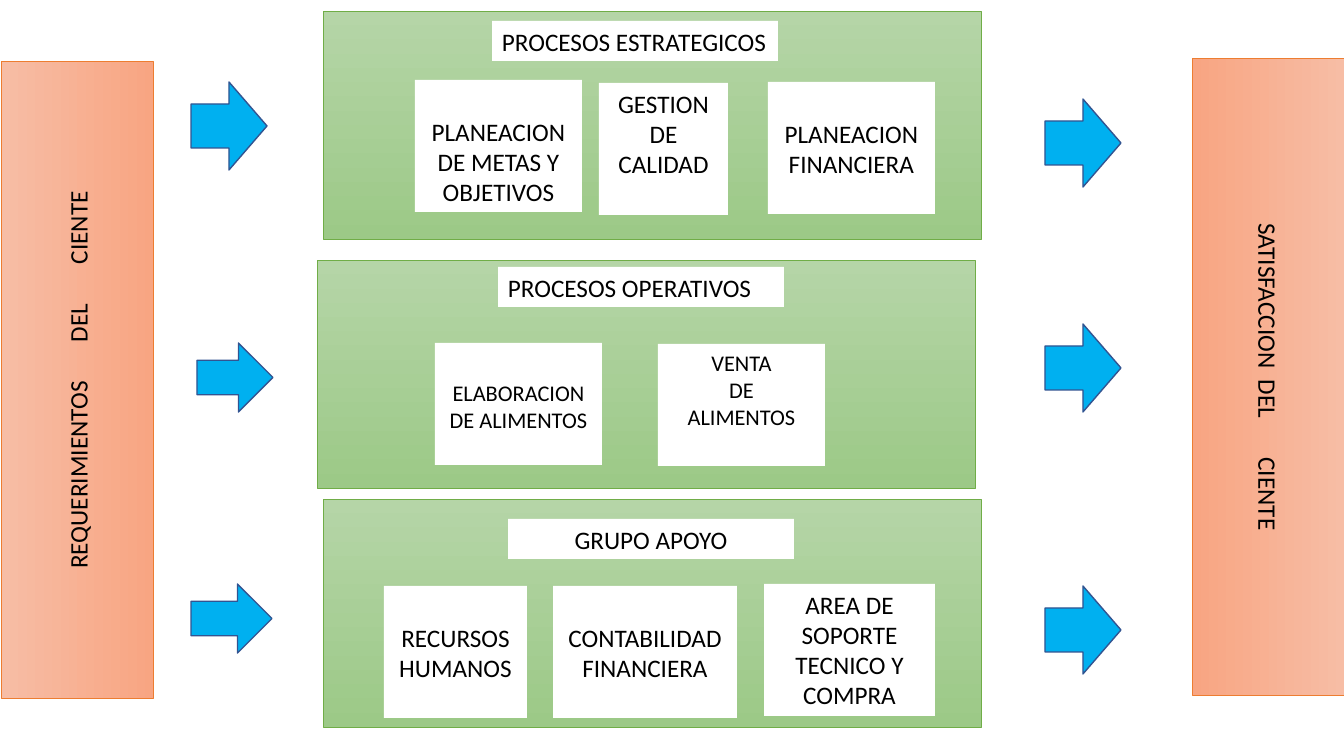
"""Build a process map slide: client requirements, process groups, client satisfaction."""
from pptx import Presentation
from pptx.dml.color import RGBColor
from pptx.enum.shapes import MSO_SHAPE
from pptx.enum.text import MSO_ANCHOR, PP_ALIGN
from pptx.util import Emu, Pt

BLACK = RGBColor(0x00, 0x00, 0x00)
WHITE = RGBColor(0xFF, 0xFF, 0xFF)
BLUE = RGBColor(0x00, 0xB0, 0xF0)
NAVY = RGBColor(0x32, 0x54, 0x91)
ORANGE = RGBColor(0xED, 0x7D, 0x31)
GREEN = RGBColor(0x70, 0xAD, 0x47)
ORANGE_FADE = (RGBColor(0xF7, 0xBD, 0xA5), RGBColor(0xF8, 0xA5, 0x82))
GREEN_FADE = (RGBColor(0xB5, 0xD5, 0xA7), RGBColor(0x9C, 0xC9, 0x87))

FONT = "Calibri"
SLIDE_SIZE = (1344, 756)
EMU_PER_PX = 914400 / 100.8
INSET = 5
LINE_HEIGHT = 31
BAR_SIZE = (637, 152)
PANEL_SIZE = (658, 228)
TITLE_SIZE = (286, 40)

# (words, widths of the gaps between them in points, left, top, rotation)
BARS = [
    (["REQUERIMIENTOS", "DEL", "CIENTE"], [24, 24], -241, 304, 270),
    (["SATISFACCION", "DEL", "CIENTE"], [4, 24], 950, 301, 90),
]
PANELS = [(323, 11), (317, 260), (323, 499)]
TITLES = [
    ("PROCESOS ESTRATEGICOS", 492, 21, PP_ALIGN.LEFT),
    ("PROCESOS OPERATIVOS", 498, 267, PP_ALIGN.LEFT),
    ("GRUPO APOYO", 508, 519, PP_ALIGN.CENTER),
]
PROCESSES = [
    ("PLANEACION DE METAS Y OBJETIVOS", 415, 80, 167, 132, 18, 1),
    ("GESTION\nDE\nCALIDAD", 599, 83, 129, 132, 18, 0),
    ("PLANEACION FINANCIERA", 768, 82, 167, 132, 18, 1),
    ("ELABORACION DE ALIMENTOS", 435, 343, 167, 122, 16, 1),
    ("VENTA\nDE\nALIMENTOS", 658, 344, 167, 122, 16, 0),
    ("RECURSOS HUMANOS", 384, 586, 143, 132, 18, 1),
    ("CONTABILIDAD FINANCIERA", 553, 586, 184, 132, 18, 1),
    ("AREA DE SOPORTE TECNICO Y COMPRA", 764, 584, 171, 132, 18, 0),
]
ARROWS = [
    (191, 82, 76, 88), (197, 343, 76, 69), (191, 584, 81, 69),
    (1045, 99, 76, 88), (1045, 324, 76, 88), (1045, 586, 76, 88),
]


def px(length):
    """Turn pixels into EMU."""
    return Emu(round(length * EMU_PER_PX))


def add_box(slide, kind, box, fill, line=None, line_width=0.5):
    """Add a preset shape with a plain colour or a top-to-bottom fade."""
    shape = slide.shapes.add_shape(kind, *map(px, box))
    shape.shadow.inherit = False
    if isinstance(fill, RGBColor):
        shape.fill.solid()
        shape.fill.fore_color.rgb = fill
    else:
        shape.fill.gradient()
        shape.fill.gradient_angle = 270
        for stop, color in zip(shape.fill.gradient_stops, fill):
            stop.color.rgb = color
    if line is None:
        shape.line.fill.background()
    else:
        shape.line.color.rgb = line
        shape.line.width = Pt(line_width)
    return shape


def style_runs(paragraph, size, alignment):
    """Align a paragraph and format its runs."""
    paragraph.alignment = alignment
    for run in paragraph.runs:
        run.font.name = FONT
        run.font.size = Pt(size)
        run.font.color.rgb = BLACK


def add_label(slide, text, box, size, alignment, lines_above=0):
    """Add a white box with text that starts some lines below its top."""
    shape = add_box(slide, MSO_SHAPE.RECTANGLE, box, WHITE)
    frame = shape.text_frame
    frame.text = text
    frame.word_wrap = True
    frame.vertical_anchor = MSO_ANCHOR.TOP
    frame.margin_top = px(INSET + lines_above * LINE_HEIGHT)
    for paragraph in frame.paragraphs:
        style_runs(paragraph, size, alignment)


def add_bar(slide, words, gaps, left, top, rotation):
    """Add a rotated bar whose words are set apart by character spacing."""
    shape = add_box(slide, MSO_SHAPE.RECTANGLE, (left, top, *BAR_SIZE), ORANGE_FADE, ORANGE)
    shape.rotation = rotation
    shape.text_frame.vertical_anchor = MSO_ANCHOR.MIDDLE
    paragraph = shape.text_frame.paragraphs[0]
    paragraph.add_run().text = words[0]
    for gap, word in zip(gaps, words[1:]):
        space = paragraph.add_run()
        space.text = " "
        space._r.get_or_add_rPr().set("spc", str(gap * 100))
        paragraph.add_run().text = word
    style_runs(paragraph, 18, PP_ALIGN.CENTER)


def main():
    """Compose the slide and save it."""
    presentation = Presentation()
    presentation.slide_width, presentation.slide_height = map(px, SLIDE_SIZE)
    slide = presentation.slides.add_slide(presentation.slide_layouts[6])
    for bar in BARS:
        add_bar(slide, *bar)
    for position in PANELS:
        add_box(slide, MSO_SHAPE.RECTANGLE, (*position, *PANEL_SIZE), GREEN_FADE, GREEN)
    for text, left, top, alignment in TITLES:
        add_label(slide, text, (left, top, *TITLE_SIZE), 18, alignment)
    for text, left, top, width, height, size, lines_above in PROCESSES:
        add_label(slide, text, (left, top, width, height), size, PP_ALIGN.CENTER, lines_above)
    for box in ARROWS:
        add_box(slide, MSO_SHAPE.RIGHT_ARROW, box, BLUE, NAVY, 1)
    presentation.save("out.pptx")


if __name__ == "__main__":
    main()
